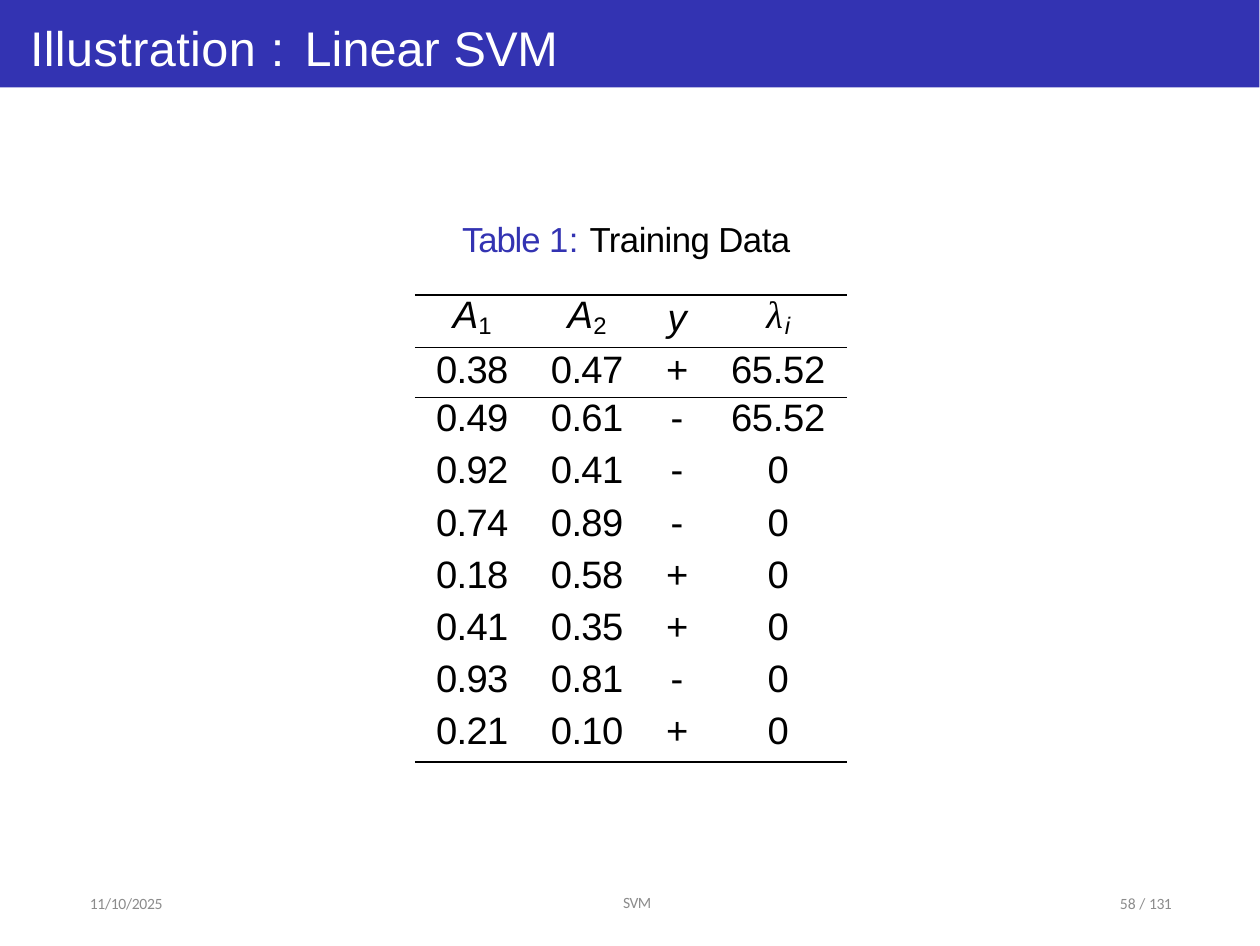
from pptx import Presentation
from pptx.dml.color import RGBColor
from pptx.enum.shapes import MSO_SHAPE
from pptx.enum.text import MSO_ANCHOR, MSO_AUTO_SIZE, PP_ALIGN
from pptx.oxml.ns import qn
from pptx.util import Inches, Pt
from lxml import etree

LEFT, CENTER, RIGHT = PP_ALIGN.LEFT, PP_ALIGN.CENTER, PP_ALIGN.RIGHT
TOP, MIDDLE = MSO_ANCHOR.TOP, MSO_ANCHOR.MIDDLE
NO_AUTOFIT = MSO_AUTO_SIZE.NONE
RECTANGLE = MSO_SHAPE.RECTANGLE

COLORS = {"blue": "3333B2", "white": "FFFFFF", "black": "000000", "gray": "8C8C8C"}
NO_STYLE_NO_GRID = "{2D5ABB26-0587-4C30-8999-92F81FD0307C}"

HEADER = [("A", "1"), ("A", "2"), ("y", ""), ("λ", "i")]
TRAINING_DATA = [
    ("0.38", "0.47", "+", "65.52"),
    ("0.49", "0.61", "-", "65.52"),
    ("0.92", "0.41", "-", "0"),
    ("0.74", "0.89", "-", "0"),
    ("0.18", "0.58", "+", "0"),
    ("0.41", "0.35", "+", "0"),
    ("0.93", "0.81", "-", "0"),
    ("0.21", "0.10", "+", "0"),
]
COLUMN_WIDTHS = [0.46, 0.46, 0.26, 0.55]
COLUMN_SPACINGS = [-0.2, -0.2, 0, -0.1]
RULED_ABOVE = (0, 1)
RULED_BELOW = (0, len(TRAINING_DATA))


def add_span(para, text, size=11, font="Arial", color="black", italic=False,
             spacing=0, baseline=0):
    """Append formatted text; spacing is in points, baseline in percent."""
    span = para.add_run()
    span.text = text
    span.font.size = Pt(size)
    span.font.name = font
    span.font.italic = italic
    span.font.color.rgb = RGBColor.from_string(COLORS[color])
    properties = span.font._element
    if spacing:
        properties.set("spc", str(round(spacing * 100)))
    if baseline:
        properties.set("baseline", str(baseline * 1000))


def add_rule(cell, edge, position):
    """Draw a thin border on the top ("lnT") or bottom ("lnB") of a cell."""
    line = etree.Element(qn("a:" + edge), w=str(Pt(0.5)))
    fill = etree.SubElement(line, qn("a:solidFill"))
    etree.SubElement(fill, qn("a:srgbClr"), val=COLORS["black"])
    cell._tc.get_or_add_tcPr().insert(position, line)


class SlideBuilder:
    def __init__(self, deck):
        self.page = deck.slides.add_slide(deck.slide_layouts[5])

    def set_frame(self, box, insets, align, anchor):
        frame = box.text_frame
        frame.word_wrap = True
        frame.auto_size = NO_AUTOFIT
        frame.vertical_anchor = anchor
        (frame.margin_left, frame.margin_top,
         frame.margin_right, frame.margin_bottom) = map(Inches, insets)
        para = frame.paragraphs[0]
        para.alignment = align
        return para

    def add_bar(self, left, top, width, height):
        bar = self.page.shapes.add_shape(RECTANGLE, *map(Inches, (left, top, width, height)))
        bar.shadow.inherit = False
        bar.fill.solid()
        bar.fill.fore_color.rgb = RGBColor.from_string(COLORS["blue"])
        bar.line.fill.background()
        title = self.page.shapes.title._element
        title.addprevious(bar._element)

    def add_title(self, spans, left, top, width, height):
        title = self.page.shapes.title
        title.left, title.top, title.width, title.height = map(
            Inches, (left, top, width, height))
        para = self.set_frame(title, (0.02, 0.02, 0, 0), LEFT, TOP)
        for text, style in spans:
            add_span(para, text, size=14, color="white", **style)

    def add_text(self, spans, left, top, width, height, insets=(0.01, 0.01, 0, 0),
                 align=LEFT, anchor=TOP, **style):
        box = self.page.shapes.add_textbox(*map(Inches, (left, top, width, height)))
        para = self.set_frame(box, insets, align, anchor)
        for text, changes in spans:
            add_span(para, text, **{**style, **changes})

    def add_footer(self, spans, left, width, **layout):
        self.add_text(spans, left, 3.51, width, 0.2, anchor=MIDDLE,
                      size=4.5, font="Calibri", color="gray", **layout)

    def add_training_table(self, left, top, width, height):
        row_count = len(TRAINING_DATA) + 1
        frame = self.page.shapes.add_table(
            row_count, len(HEADER), *map(Inches, (left, top, width, height)))
        table = frame.table
        table.first_row = table.horz_banding = False
        table._tbl.tblPr.find(qn("a:tableStyleId")).text = NO_STYLE_NO_GRID
        for column, column_width in zip(table.columns, COLUMN_WIDTHS):
            column.width = Inches(column_width)
        top_heights = [0.21, 0.2]
        other_height = (height - sum(top_heights)) / (row_count - 2)
        heights = top_heights + [other_height] * (row_count - 2)
        for row_index, row in enumerate(table.rows):
            row.height = Inches(heights[row_index])
            for column_index, cell in enumerate(row.cells):
                self.fill_cell(cell, row_index, column_index)

    def fill_cell(self, cell, row_index, column_index):
        cell.margin_left = cell.margin_right = cell.margin_top = cell.margin_bottom = 0
        cell.fill.background()
        para = cell.text_frame.paragraphs[0]
        para.alignment = CENTER
        if row_index < 2:
            para.line_spacing = Pt(12.8)
        if row_index == 0:
            symbol, index = HEADER[column_index]
            greek = symbol == "λ"
            add_span(para, symbol, font="Times New Roman" if greek else "Arial",
                     italic=True, spacing=0.5 if greek else 0)
            if index:
                add_span(para, index, size=12, italic=greek, baseline=-14,
                         spacing=0.8 if greek else -0.4)
        else:
            add_span(para, TRAINING_DATA[row_index - 1][column_index],
                     spacing=COLUMN_SPACINGS[column_index])
        if row_index in RULED_ABOVE:
            add_rule(cell, "lnT", 0)
        if row_index in RULED_BELOW:
            add_rule(cell, "lnB", int(row_index in RULED_ABOVE))


def main():
    deck = Presentation()
    deck.slide_width, deck.slide_height = Pt(363), Pt(272.5)
    slide = SlideBuilder(deck)
    slide.add_bar(0, 0, 5.04, 0.35)
    slide.add_title([("Illustration ", {"spacing": 0.1}), (": ", {"spacing": 1}),
                     ("Linear ", {}), ("SVM", {"spacing": -0.2})],
                    0.1, 0.05, 2.15, 0.27)
    slide.add_text([("Table ", {"color": "blue", "spacing": -0.3}),
                    ("1: ", {"color": "blue", "spacing": 0.2}),
                    ("Training Data", {"spacing": -0.15})],
                   1.84, 0.86, 1.37, 0.19, size=10)
    slide.add_training_table(1.66, 1.18, 1.73, 1.87)
    slide.add_footer([("11/10/2025", {"spacing": -0.1})], 0.35, 1.13)
    slide.add_footer([("SVM", {"spacing": -0.2})], 1.67, 1.7,
                     insets=(0.16, 0.05, 0.1, 0.05), align=CENTER)
    slide.add_footer([("58 / ", {}), ("131", {"spacing": -0.2})], 3.56, 1.13, align=RIGHT)
    deck.save("out.pptx")


if __name__ == "__main__":
    main()
